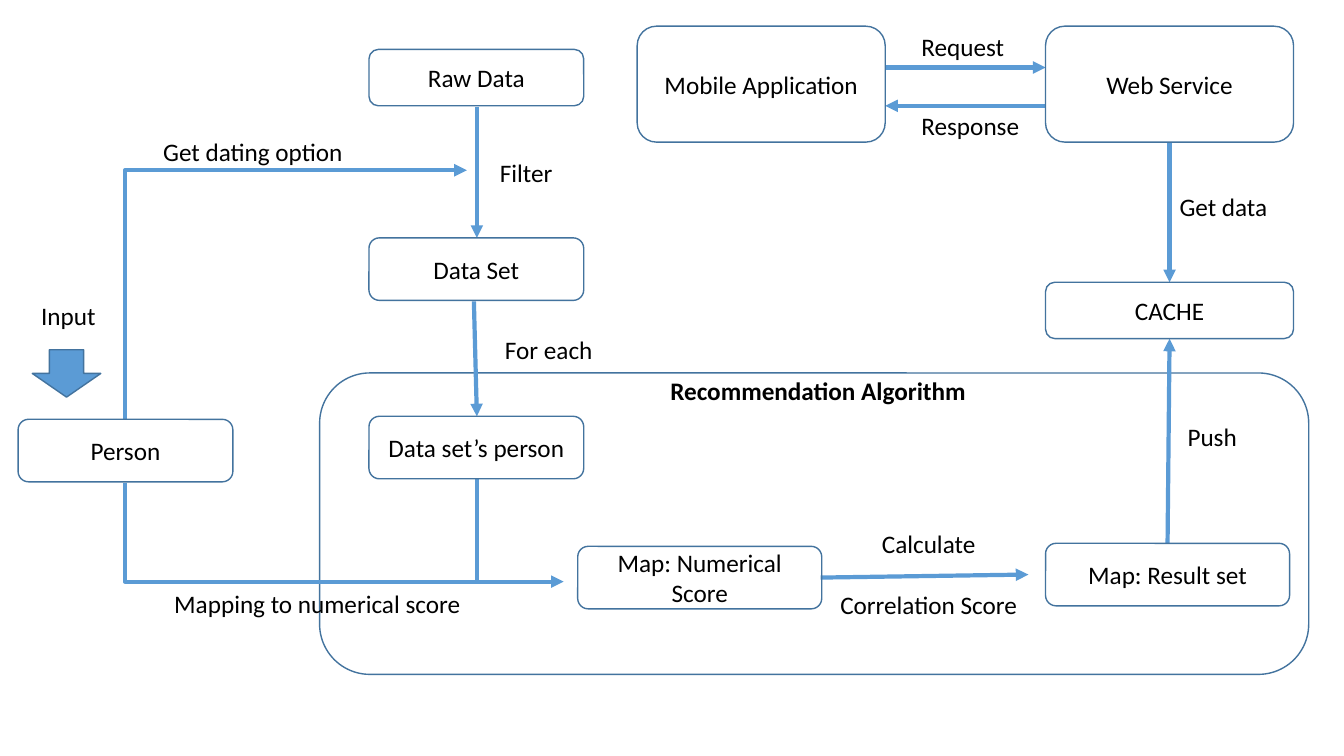
from pptx import Presentation
from pptx.dml.color import RGBColor
from pptx.enum.shapes import MSO_CONNECTOR as CONN, MSO_SHAPE as SHAPE
from pptx.enum.text import MSO_ANCHOR as ANCHOR, MSO_AUTO_SIZE as AUTO, PP_ALIGN as ALIGN
from pptx.oxml.ns import qn
from pptx.util import Pt
from lxml.etree import SubElement

PX = 9144
BLUE, EDGE, BLACK = "5B9BD5", "43739E", "000000"


def rgb(value):
    return RGBColor.from_string(value)


def write(tf, text, align=ALIGN.LEFT, bold=False, size=18, color=BLACK, gap=0):
    for i, line in enumerate(text.split("\n")):
        p = tf.add_paragraph() if i else tf.paragraphs[0]
        p.alignment = align
        p.space_before = Pt(gap if i else 0)
        r = p.add_run()
        r.text = line
        r.font.name = "Calibri"
        r.font.size = Pt(size)
        r.font.bold = bold
        r.font.color.rgb = rgb(color)


class Diagram:
    def __init__(self, slide, font_size=18, line_width=3):
        self.shapes = slide.shapes
        self.font_size = font_size
        self.line_width = line_width

    def shape(self, kind, x, y, w, h, fill=None):
        sp = self.shapes.add_shape(kind, *(v * PX for v in (x, y, w, h)))
        sp.shadow.inherit = False
        if fill:
            sp.fill.solid()
            sp.fill.fore_color.rgb = rgb(fill)
        else:
            sp.fill.background()
        sp.line.color.rgb = rgb(EDGE)
        sp.line.width = Pt(1)
        return sp

    def box(self, text, x, y, w, h):
        tf = self.shape(SHAPE.ROUNDED_RECTANGLE, x, y, w, h).text_frame
        tf.vertical_anchor = ANCHOR.MIDDLE
        tf.word_wrap = True
        write(tf, text, align=ALIGN.CENTER, size=self.font_size)

    def label(self, text, x, y, w, h=40, **fmt):
        tf = self.shapes.add_textbox(x * PX, y * PX, w * PX, h * PX).text_frame
        tf.word_wrap = False
        tf.auto_size = AUTO.SHAPE_TO_FIT_TEXT
        write(tf, text, size=self.font_size, **fmt)

    def line(self, x1, y1, x2, y2, kind=CONN.STRAIGHT, head=True):
        c = self.shapes.add_connector(kind, *(int(v * PX) for v in (x1, y1, x2, y2)))
        c.line.color.rgb = rgb(BLUE)
        c.line.width = Pt(self.line_width)
        if head:
            SubElement(c.line._get_or_add_ln(), qn("a:tailEnd"), type="triangle")
        SubElement(c._element.spPr, qn("a:effectLst"))
        return c

    def elbow(self, x1, y1, x2, y2):
        cx, cy = (x1 + x2) / 2, (y1 + y2) / 2
        dx, dy = abs(y2 - y1) / 2, (x2 - x1) / 2
        up = y2 < y1
        if not up:
            dy = -dy
        c = self.line(cx + dx, cy + dy, cx - dx, cy - dy, CONN.ELBOW)
        spPr = c._element.spPr
        spPr.find(qn("a:prstGeom")).set("prst", "bentConnector2")
        spPr.find(qn("a:xfrm")).set("rot", str((90 if up else 270) * 60000))


def main():
    prs = Presentation()
    prs.slide_width, prs.slide_height = 1333 * PX, 750 * PX
    s = prs.slides.add_slide(prs.slide_layouts[6])
    d = Diagram(s)

    d.shape(SHAPE.ROUNDED_RECTANGLE, 317, 370, 981, 299)
    d.shape(SHAPE.DOWN_ARROW, 32, 347, 68, 47, BLUE)

    for args in (
        (473, 106, 473, 236),
        (470, 299, 473, 413),
        (814, 573, 1020, 570),
        (1158, 539, 1160, 336),
        (1160, 142, 1160, 280),
        (878, 67, 1037, 67),
        (1037, 105, 878, 105),
    ):
        d.line(*args)
    d.line(473, 475, 473, 577, head=False)
    d.elbow(124, 416, 463, 169)
    d.elbow(124, 479, 559, 577)

    for args in (
        ("Raw Data", 366, 49, 213, 56),
        ("Data Set", 366, 236, 213, 62),
        ("Data set’s person", 366, 413, 213, 62),
        ("Person", 18, 416, 213, 62),
        ("Map: Numerical Score", 573, 542, 242, 62),
        ("Map: Result set", 1037, 539, 242, 62),
        ("CACHE", 1037, 280, 246, 56),
        ("Web Service", 1037, 26, 246, 115),
        ("Mobile Application", 632, 26, 246, 115),
    ):
        d.box(*args)

    for args in (
        ("Filter", 486, 151, 73),
        ("Get dating option", 152, 130, 201),
        ("Mapping to numerical score", 163, 579, 307),
        ("For each", 491, 327, 108),
        ("Push", 1168, 413, 70),
        ("Input", 31, 293, 75),
        ("Get data", 1160, 185, 108),
        ("Request", 904, 26, 103),
        ("Response", 904, 105, 118),
    ):
        d.label(*args)
    d.label("Recommendation Algorithm", 655, 367, 315, bold=True)
    d.label("Calculate\nCorrelation Score", 822, 519, 198, 101, align=ALIGN.CENTER, gap=22)

    prs.save("out.pptx")


if __name__ == "__main__":
    main()
